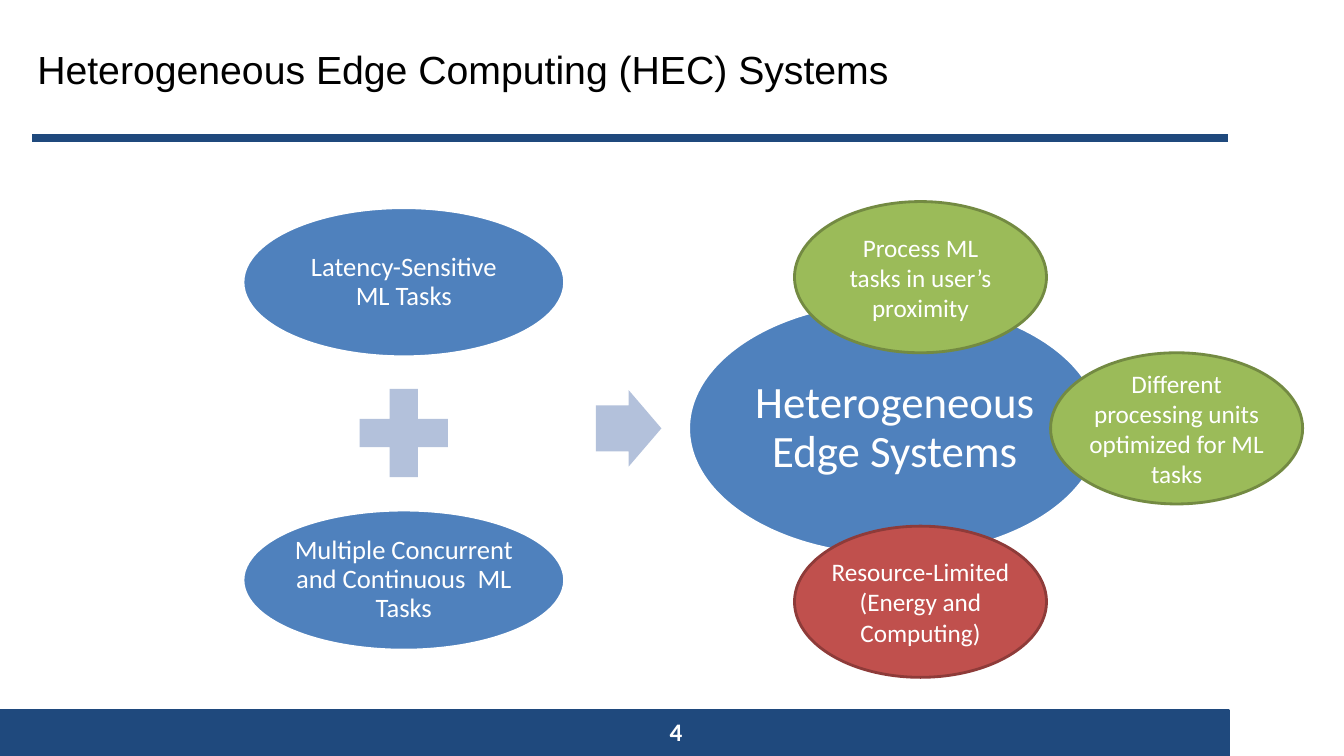
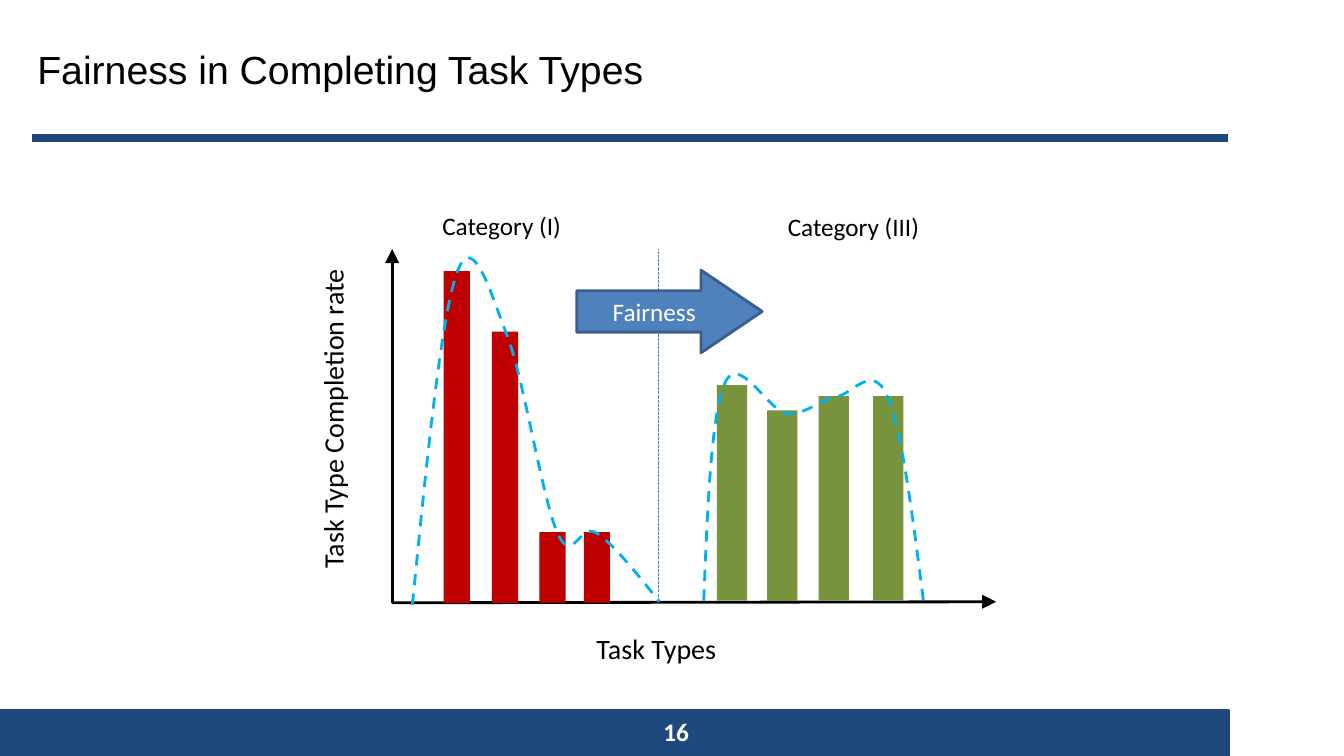
import pptx
import pptx.util
import pptx.dml.color
import pptx.enum.dml
import pptx.enum.shapes
import pptx.enum.text
import pptx.oxml
import pptx.oxml.ns

Inches = pptx.util.Inches
Pt = pptx.util.Pt
SHAPE = pptx.enum.shapes.MSO_SHAPE
ALIGN = pptx.enum.text.PP_ALIGN
ANCHOR = pptx.enum.text.MSO_ANCHOR
DASH = pptx.enum.dml.MSO_LINE
Node = pptx.oxml.xmlchemy.OxmlElement

HUES = {
    "navy": "1F497D", "blue": "4F81BD", "edge": "3A5F8C", "pale": "B3C1DB",
    "green": "9BBB59", "moss": "738A42", "red": "C0504D", "rust": "8E3B39",
    "leaf": "77933C", "blood": "C00000", "sky": "00B0F0", "split": "4B7EBC",
    "white": "FFFFFF", "black": "000000",
}


def hue(name):
    return pptx.dml.color.RGBColor.from_string(HUES[name])


def write(frame, text, size, color, font="Calibri", bold=False,
          align=ALIGN.CENTER, anchor=ANCHOR.MIDDLE, space=None):
    frame.text = text
    frame.word_wrap = True
    frame.vertical_anchor = anchor
    for para in frame.paragraphs:
        para.alignment = align
        if space:
            para.line_spacing = space
        for run in para.runs:
            run.font.size = Pt(size)
            run.font.name = font
            run.font.bold = bold
            run.font.color.rgb = hue(color)


def inset(frame, side, top):
    frame.margin_left = frame.margin_right = Inches(side)
    frame.margin_top = frame.margin_bottom = Inches(top)


def stroke(line, color, width, dash=None):
    line.color.rgb = hue(color)
    line.width = Pt(width)
    if dash:
        line.dash_style = dash


def shape(slide, kind, box, fill, edge=None):
    item = slide.shapes.add_shape(kind, *map(Inches, box))
    item.shadow.inherit = False
    item.fill.solid()
    item.fill.fore_color.rgb = hue(fill)
    if edge:
        stroke(item.line, edge, 2)
    else:
        item.line.fill.background()
    return item


def label(slide, box, text, size, color="black", turn=0, **style):
    item = slide.shapes.add_textbox(*map(Inches, box))
    item.rotation = turn
    write(item.text_frame, text, size, color, **style)


def rule(slide, ends, color, width, dash=None, arrow=False):
    item = slide.shapes.add_connector(
        pptx.enum.shapes.MSO_CONNECTOR.STRAIGHT, *map(Inches, ends))
    stroke(item.line, color, width, dash)
    if arrow:
        tail = Node("a:tailEnd")
        for key, value in (("type", "triangle"), ("w", "lg"), ("len", "lg")):
            tail.set(key, value)
        item.line._get_or_add_ln().append(tail)
    item._element.spPr.append(Node("a:effectLst"))
    return item


def handles(knots):
    """Control points and end of each curved piece through the knots."""
    last = len(knots) - 1

    def lean(i, sign):
        return [p + sign * (b - a) / 6 for p, a, b in
                zip(knots[i], knots[i - 1], knots[i + 1])]

    def middle(a, b):
        return [(p + q) / 2 for p, q in zip(a, b)]

    for i in range(last):
        start, end = knots[i], knots[i + 1]
        out = lean(i, 1) if i else None
        into = lean(i + 1, -1) if i + 1 < last else middle(out, end)
        yield out or middle(start, into), into, end


def frame(deck, slide):
    """Move the shared band and rule onto the layout of the slide."""
    tree = slide.slide_layout.shapes._spTree
    parts = [
        shape(slide, SHAPE.RECTANGLE, (0, 7.05, 12.19, 0.45), "navy", "navy"),
        rule(slide, (0.32, 1.37, 12.18, 1.37), "navy", 6),
    ]
    for number, part in enumerate(parts, 50):
        part._element.xpath(".//p:cNvPr")[0].set("id", str(number))
        tree.append(part._element)


def base(deck, title, number):
    """Title-only slide with its page number."""
    slide = deck.slides.add_slide(deck.slide_layouts[5])
    head = slide.shapes.title
    head.left, head.top, head.width, head.height = map(
        Inches, (0.27, 0.13, 11.87, 1.11))
    write(head.text_frame, title, 28, "black", font="Arial", align=ALIGN.LEFT)
    head.text_frame.auto_size = pptx.enum.text.MSO_AUTO_SIZE.NONE
    label(slide, (5.15, 7.06, 3.11, 0.4), number, 18, "white", bold=True)
    return slide


def oval(slide, box, text, size, fill, edge, pad, space=None):
    item = shape(slide, SHAPE.OVAL, box, fill, edge)
    inset(item.text_frame, *pad)
    write(item.text_frame, text, size, "white", space=space)


def needs(slide, x, y):
    """Two kinds of task, added up and leading to the right."""
    thin = (0.03, 0.03)
    oval(slide, (x, y, 3.19, 1.48), "Latency-Sensitive ML Tasks",
         19, "blue", "white", thin, 0.9)
    shape(slide, SHAPE.MATH_PLUS, (x + 1, y + 1.64, 1.19, 1.19), "pale")
    oval(slide, (x, y + 3, 3.19, 1.39),
         "Multiple Concurrent and Continuous  ML Tasks",
         19, "blue", "white", thin, 0.9)
    arrow = shape(slide, SHAPE.RIGHT_ARROW,
                  (x + 3.5, y + 1.81, 0.65, 0.76), "pale")
    arrow.adjustments[0] = 0.6


def hub(slide, x, y):
    """Large oval with its three traits around it."""
    oval(slide, (x, y, 4.09, 2.52), "Heterogeneous Edge Systems",
         32, "blue", "white", (0.04, 0.04), 0.9)
    traits = [
        (1.05, -0.99, "Process ML tasks in user’s proximity",
         "green", "moss", (0.1, 0.05)),
        (3.59, 0.51, "Different processing units optimized for ML tasks",
         "green", "moss", (0, 0)),
        (1.05, 2.23, "Resource-Limited\n(Energy and Computing)",
         "red", "rust", (0, 0.05)),
    ]
    for dx, dy, text, fill, edge, pad in traits:
        oval(slide, (x + dx, y + dy, 2.5, 1.5), text, 18, fill, edge, pad)


def bars(slide, x, y, wide, fill, sizes):
    """Bars standing on y, each given as offset from x and height."""
    for dx, high in sizes:
        shape(slide, SHAPE.RECTANGLE, (x + dx, y - high, wide, high), fill)


def curve(slide, x, y, knots):
    """Dashed smooth line through knots given as offset from x and height."""
    def place(knot):
        return Inches(x + knot[0]), Inches(y - knot[1])

    pen = slide.shapes.build_freeform(*place(knots[0]))
    pen.add_line_segments([place(knot) for knot in knots[1:]], close=False)
    item = pen.convert_to_shape()
    item.shadow.inherit = False
    item.fill.background()
    stroke(item.line, "sky", 2, DASH.DASH)
    lines = item._element.xpath(".//a:lnTo")
    for line, piece in zip(lines, handles(knots)):
        bend = Node("a:cubicBezTo")
        for knot in piece:
            left, top = place(knot)
            point = Node("a:pt")
            point.set("x", str(left - item.left))
            point.set("y", str(top - item.top))
            bend.append(point)
        line.getparent().replace(line, bend)


def plot(slide, x, y, wide, high):
    """Sketch of completion rates, with the axes meeting at x, y."""
    top = y - high
    rule(slide, (x, y, x, top), "black", 2, arrow=True)
    rule(slide, (x, y, x + wide, y - 0.01), "black", 2, arrow=True)
    label(slide, (x + 1.37, y + 0.24, 2.5, 0.44), "Task Types", 20,
          anchor=ANCHOR.TOP)
    label(slide, (x - 2.93, y - 2.01, 4.68, 0.44),
          " Task Type Completion rate", 20, turn=270, anchor=ANCHOR.TOP)
    bars(slide, x, y - 0.02, 0.3, "leaf",
         [(3.22, 2.14), (3.72, 1.89), (4.23, 2.03), (4.77, 2.03)])
    bars(slide, x, y, 0.26, "blood",
         [(0.51, 3.29), (0.99, 2.69), (1.46, 0.7), (1.9, 0.7)])
    rule(slide, (x + 2.64, y - 0.02, x + 2.64, top), "split", 0.75,
         DASH.SQUARE_DOT)
    for dx, dy, text in ((0.25, -0.43, "Category (I)"),
                         (3.74, -0.42, "Category (III)")):
        label(slide, (x + dx, top + dy, 1.67, 0.4), text, 18,
              anchor=ANCHOR.TOP)
    curve(slide, x, y, [(3.09, 0.02), (3.3, 2.18), (3.91, 1.88),
                        (4.4, 2.04), (4.91, 2.05), (5.27, 0.01)])
    curve(slide, x, y, [(0.2, -0.02), (0.64, 3.27), (1.14, 2.65),
                        (1.64, 0.69), (2.03, 0.69), (2.65, 0.01)])
    arrow = shape(slide, SHAPE.RIGHT_ARROW,
                  (x + 1.83, top + 0.21, 1.84, 0.82), "blue", "edge")
    arrow.adjustments[1] = 0.74
    write(arrow.text_frame, "Fairness", 18, "white")


def main():
    deck = pptx.Presentation()
    deck.slide_width, deck.slide_height = Inches(13.33), Inches(7.5)
    edge = base(deck, "Heterogeneous Edge Computing (HEC) Systems", "4")
    frame(deck, edge)
    needs(edge, 2.41, 2.06)
    hub(edge, 6.83, 2.99)
    fair = base(deck, "Fairness in Completing Task Types", "16")
    plot(fair, 3.89, 5.98, 5.99, 3.51)
    deck.save("out.pptx")


if __name__ == "__main__":
    main()
